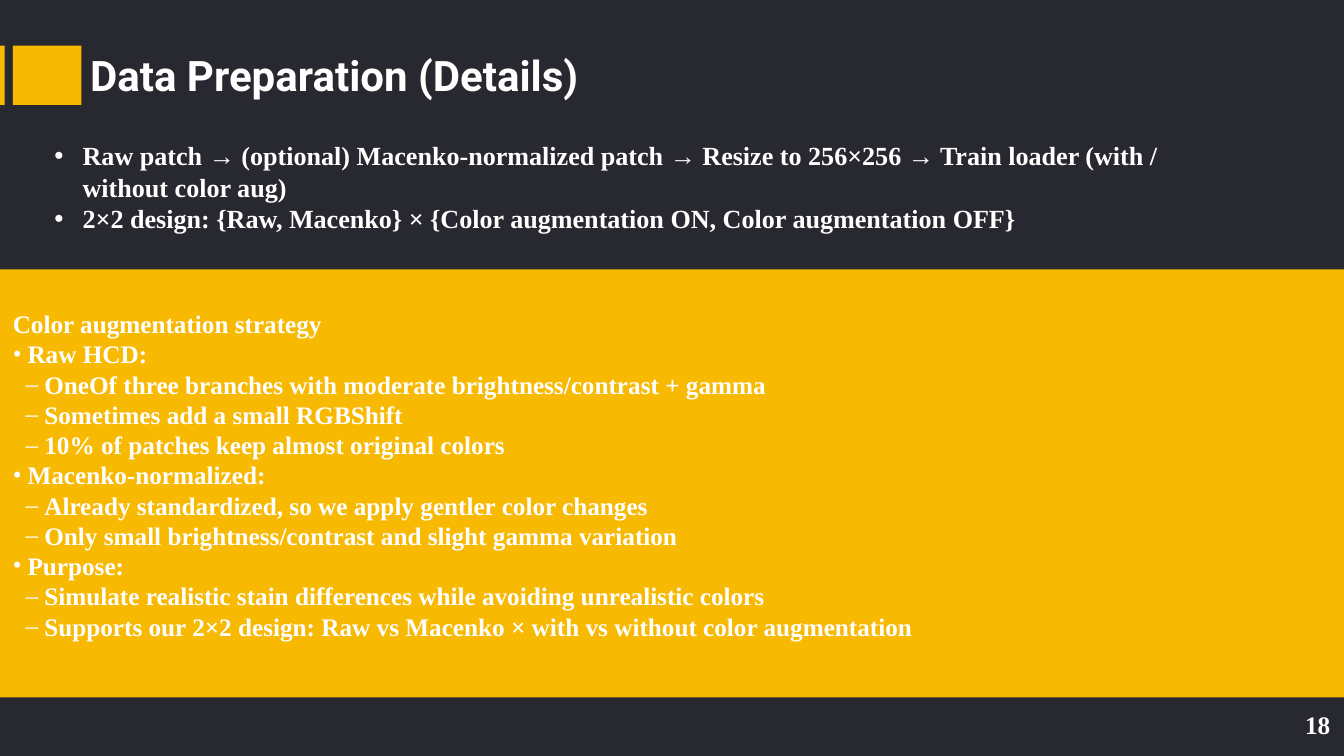
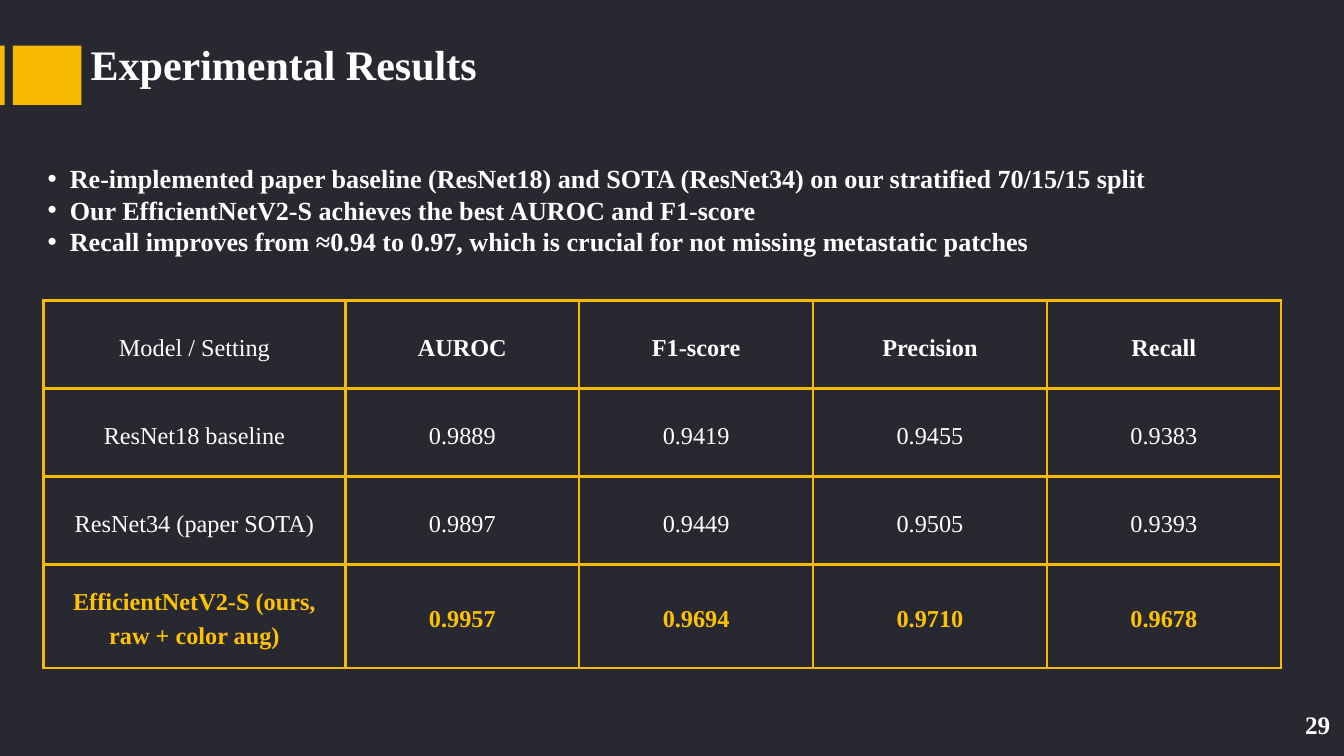
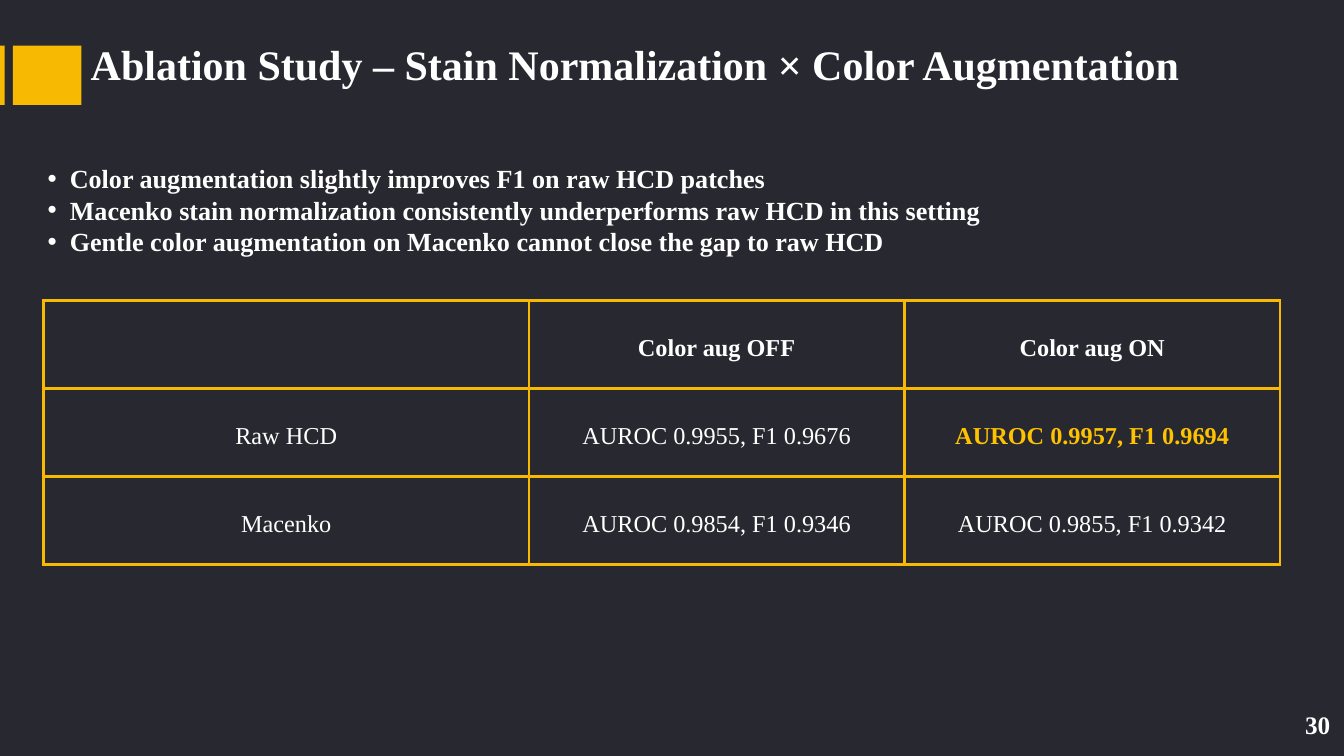
from lxml import etree
from pptx import Presentation
from pptx.dml.color import RGBColor
from pptx.enum.shapes import MSO_SHAPE
from pptx.enum.text import MSO_ANCHOR, PP_ALIGN
from pptx.oxml import parse_xml
from pptx.oxml.ns import nsdecls, qn
from pptx.util import Pt

PX = 9144  # EMU per px, 100 px to the inch
WIDTH, HEIGHT = 2000, 1125
DARK, YELLOW, WHITE, HIGHLIGHT = "282830", "F7B902", "FFFFFF", "FFC200"
SERIF, SANS = "Times New Roman", "Roboto"
MARKS = [(0, 68, 7, 88), (19, 68, 102, 88)]
BAND = (0, 401, WIDTH, 637)

# Bullet styles: character, font, left margin, hanging indent
POINT = ("•", "Arial", 66, 33)
WIDE_POINT = ("•", "Arial", 75, 42)
TOPIC = ("•", SERIF, 22, 22)
DETAIL = ("–", SERIF, 47, 28)

rgb = RGBColor.from_string


def format_paragraph(paragraph, size, color=WHITE, bold=True, font=SERIF, leading=1.2):
    paragraph.line_spacing = Pt(size * leading)
    for run in paragraph.runs:
        run.font.size = Pt(size)
        run.font.name = font
        run.font.bold = bold
        run.font.color.rgb = rgb(color)


def add_text(slide, box, lines, size, font=SERIF):
    """Add a text box; lines are (bullet style or None, text) pairs."""
    frame = slide.shapes.add_textbox(*(length * PX for length in box)).text_frame
    frame.word_wrap = True
    frame.margin_left = frame.margin_right = frame.margin_top = frame.margin_bottom = 0
    frame.text = "\n".join(text for _, text in lines)
    for paragraph, (bullet, _) in zip(frame.paragraphs, lines):
        if bullet:
            character, bullet_font, margin, hang = bullet
            properties = paragraph._p.get_or_add_pPr()
            properties.set("marL", str(margin * PX))
            properties.set("indent", str(-hang * PX))
            etree.SubElement(properties, qn("a:buFont"), typeface=bullet_font)
            etree.SubElement(properties, qn("a:buChar"), char=character)
        format_paragraph(paragraph, size, font=font)


presentation = Presentation()
presentation.slide_width, presentation.slide_height = WIDTH * PX, HEIGHT * PX

strategy = [
    (None, "Color augmentation strategy"),
    (TOPIC, "Raw HCD:"),
    (DETAIL, "OneOf three branches with moderate brightness/contrast + gamma"),
    (DETAIL, "Sometimes add a small RGBShift"),
    (DETAIL, "10% of patches keep almost original colors"),
    (TOPIC, "Macenko-normalized:"),
    (DETAIL, "Already standardized, so we apply gentler color changes"),
    (DETAIL, "Only small brightness/contrast and slight gamma variation"),
    (TOPIC, "Purpose:"),
    (DETAIL, "Simulate realistic stain differences while avoiding unrealistic colors"),
    (DETAIL, "Supports our 2×2 design: Raw vs Macenko × with vs without color augmentation"),
]

slides = [
    {
        "number": "18",
        "title": "Data Preparation (Details)",
        "title_box": (134, 73, 1770, 76),
        "title_font": SANS,
        "blocks": [*MARKS, BAND],
        "bullet": WIDE_POINT,
        "points_box": (48, 208, 1770, 140),
        "points": [
            "Raw patch → (optional) Macenko-normalized patch → Resize to 256×256"
            " → Train loader (with / without color aug)",
            "2×2 design: {Raw, Macenko} × {Color augmentation ON, Color augmentation OFF}",
        ],
    },
    {
        "number": "29",
        "title": "Experimental Results",
        "title_box": (135, 57, 1085, 106),
        "points": [
            "Re-implemented paper baseline (ResNet18) and SOTA (ResNet34)"
            " on our stratified 70/15/15 split",
            "Our EfficientNetV2-S achieves the best AUROC and F1-score",
            "Recall improves from ≈0.94 to 0.97, which is crucial for not missing"
            " metastatic patches",
        ],
        "columns": [449] + [348] * 4,
        "row_heights": [131, 131, 131, 154],
        "rows": [
            ["Model / Setting", "AUROC", "F1-score", "Precision", "Recall"],
            ["ResNet18 baseline", "0.9889", "0.9419", "0.9455", "0.9383"],
            ["ResNet34 (paper SOTA)", "0.9897", "0.9449", "0.9505", "0.9393"],
            ["EfficientNetV2-S (ours, raw + color aug)", "0.9957", "0.9694", "0.9710", "0.9678"],
        ],
        "best": [(3, column) for column in range(5)],
    },
    {
        "number": "30",
        "title": "Ablation Study – Stain Normalization × Color Augmentation",
        "title_box": (135, 57, 1856, 106),
        "points": [
            "Color augmentation slightly improves F1 on raw HCD patches",
            "Macenko stain normalization consistently underperforms raw HCD in this setting",
            "Gentle color augmentation on Macenko cannot close the gap to raw HCD",
        ],
        "columns": [722, 559, 559],
        "row_heights": [131] * 3,
        "rows": [
            ["", "Color aug OFF", "Color aug ON"],
            ["Raw HCD", "AUROC 0.9955, F1 0.9676", "AUROC 0.9957, F1 0.9694"],
            ["Macenko", "AUROC 0.9854, F1 0.9346", "AUROC 0.9855, F1 0.9342"],
        ],
        "best": [(1, 2)],
    },
]

for content in slides:
    slide = presentation.slides.add_slide(presentation.slide_layouts[6])
    slide.background.fill.solid()
    slide.background.fill.fore_color.rgb = rgb(DARK)

    for box in content.get("blocks", MARKS):
        block = slide.shapes.add_shape(MSO_SHAPE.RECTANGLE, *(length * PX for length in box))
        block.shadow.inherit = False
        block.fill.solid()
        block.fill.fore_color.rgb = rgb(YELLOW)
        block.line.fill.background()

    add_text(slide, content["title_box"], [(None, content["title"])], 45,
             content.get("title_font", SERIF))
    add_text(slide, (1942, 1056, 58, 69), [(None, content["number"])], 27)
    bullet = content.get("bullet", POINT)
    add_text(slide, content.get("points_box", (38, 242, 1770, 185)),
             [(bullet, point) for point in content["points"]], 28)

    if "rows" not in content:
        add_text(slide, (19, 459, 1587, 584), strategy, 27)
        continue

    columns, row_heights = content["columns"], content["row_heights"]
    table = slide.shapes.add_table(
        len(row_heights), len(columns),
        65 * PX, 447 * PX, sum(columns) * PX, sum(row_heights) * PX).table
    table.first_row = table.horz_banding = False
    for column, width in zip(table.columns, columns):
        column.width = width * PX
    for row_index, (height, texts) in enumerate(zip(row_heights, content["rows"])):
        table.rows[row_index].height = height * PX
        for column_index, text in enumerate(texts):
            cell = table.cell(row_index, column_index)
            cell.text = text
            cell.vertical_anchor = MSO_ANCHOR.MIDDLE
            cell.margin_left = cell.margin_right = 21 * PX
            cell.margin_top = cell.margin_bottom = 21 * PX
            cell.fill.background()
            best = (row_index, column_index) in content["best"]
            heading = row_index == 0 and column_index > 0
            paragraph = cell.text_frame.paragraphs[0]
            paragraph.alignment = PP_ALIGN.CENTER
            format_paragraph(paragraph, 26, HIGHLIGHT if best else WHITE,
                             bold=best or heading, leading=1.4)
            for position, side in enumerate("LRTB"):
                border = parse_xml(
                    f'<a:ln{side} {nsdecls("a")} w="{Pt(3)}"><a:solidFill>'
                    f'<a:srgbClr val="{YELLOW}"/></a:solidFill></a:ln{side}>')
                cell._tc.get_or_add_tcPr().insert(position, border)

presentation.save("out.pptx")
